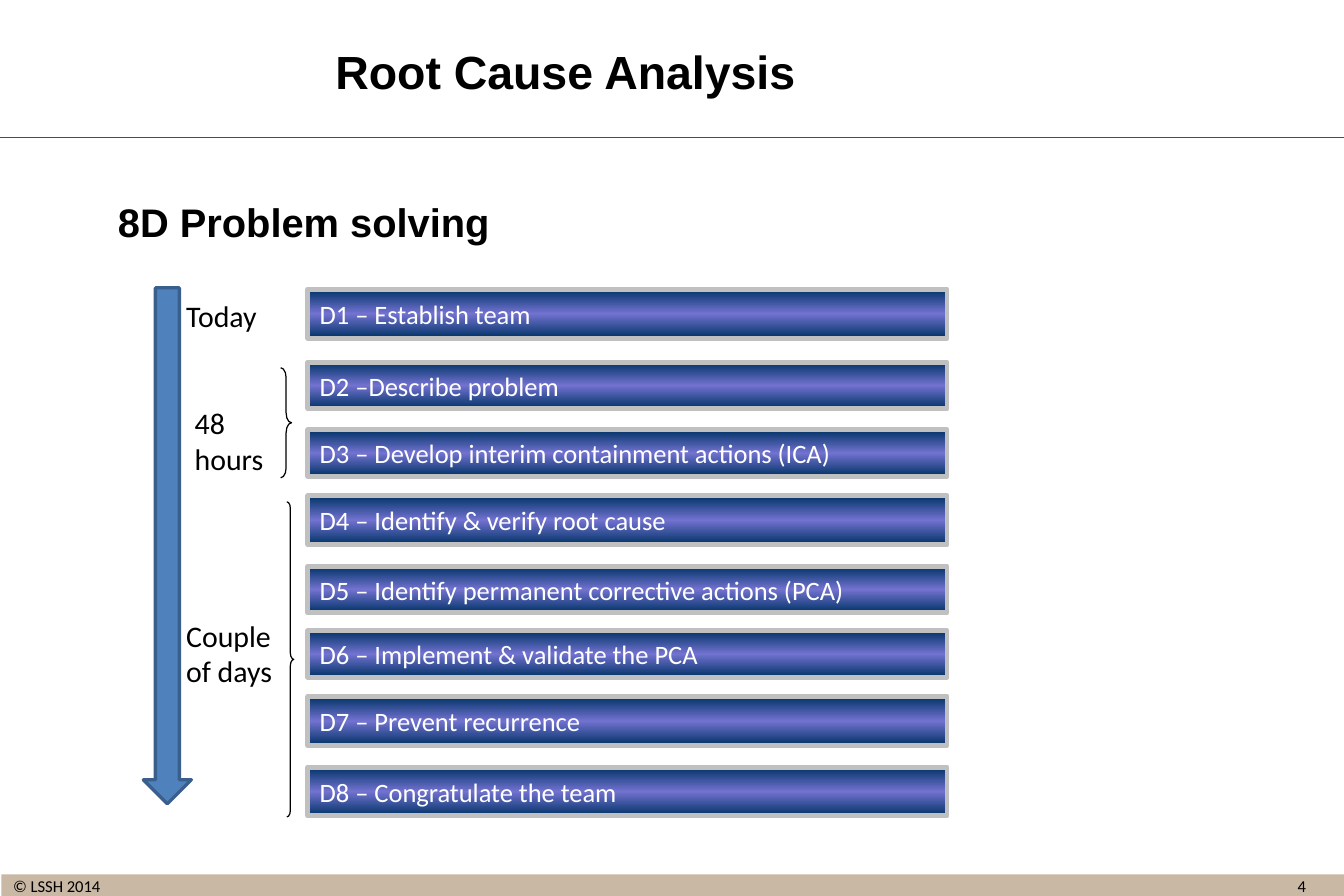
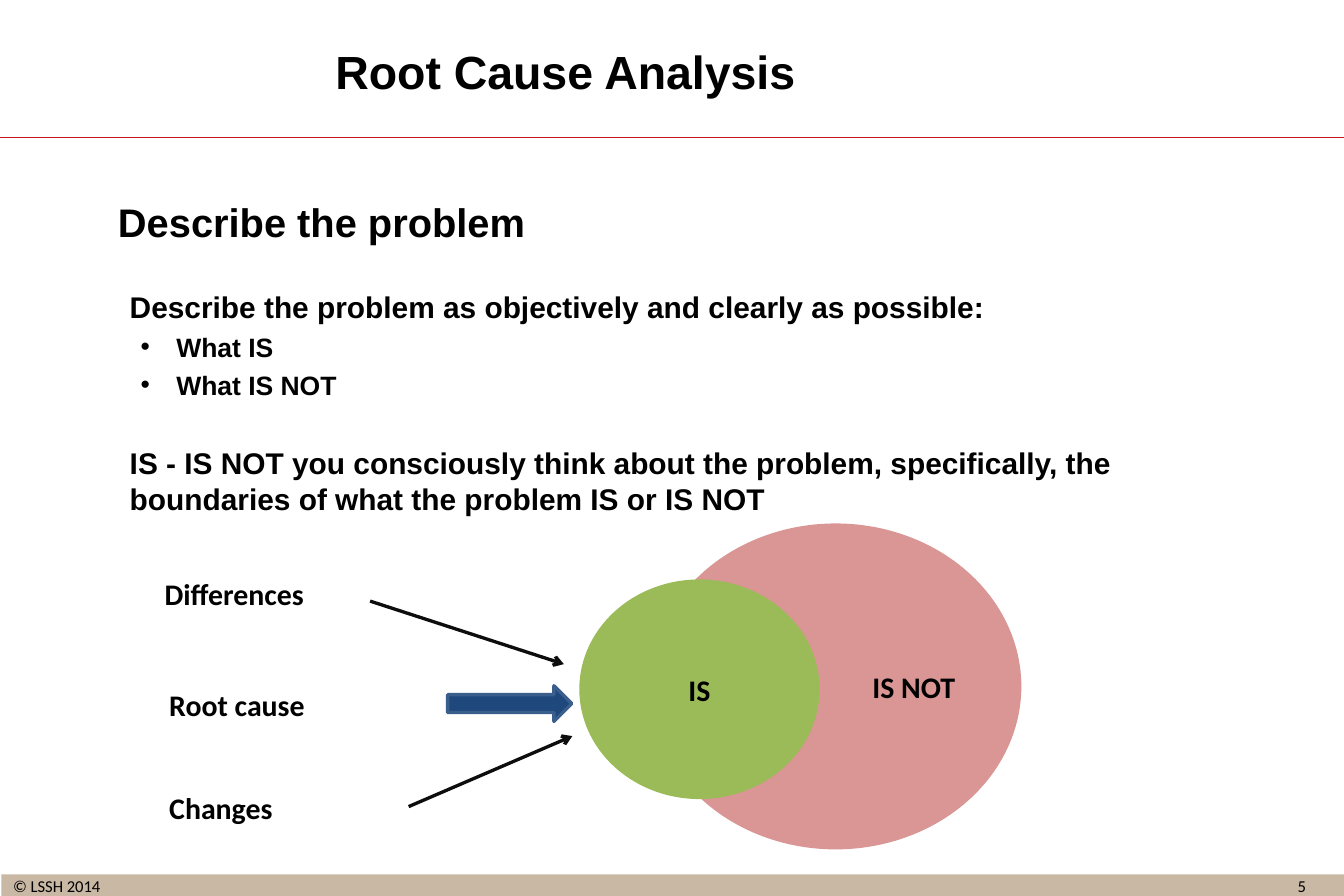
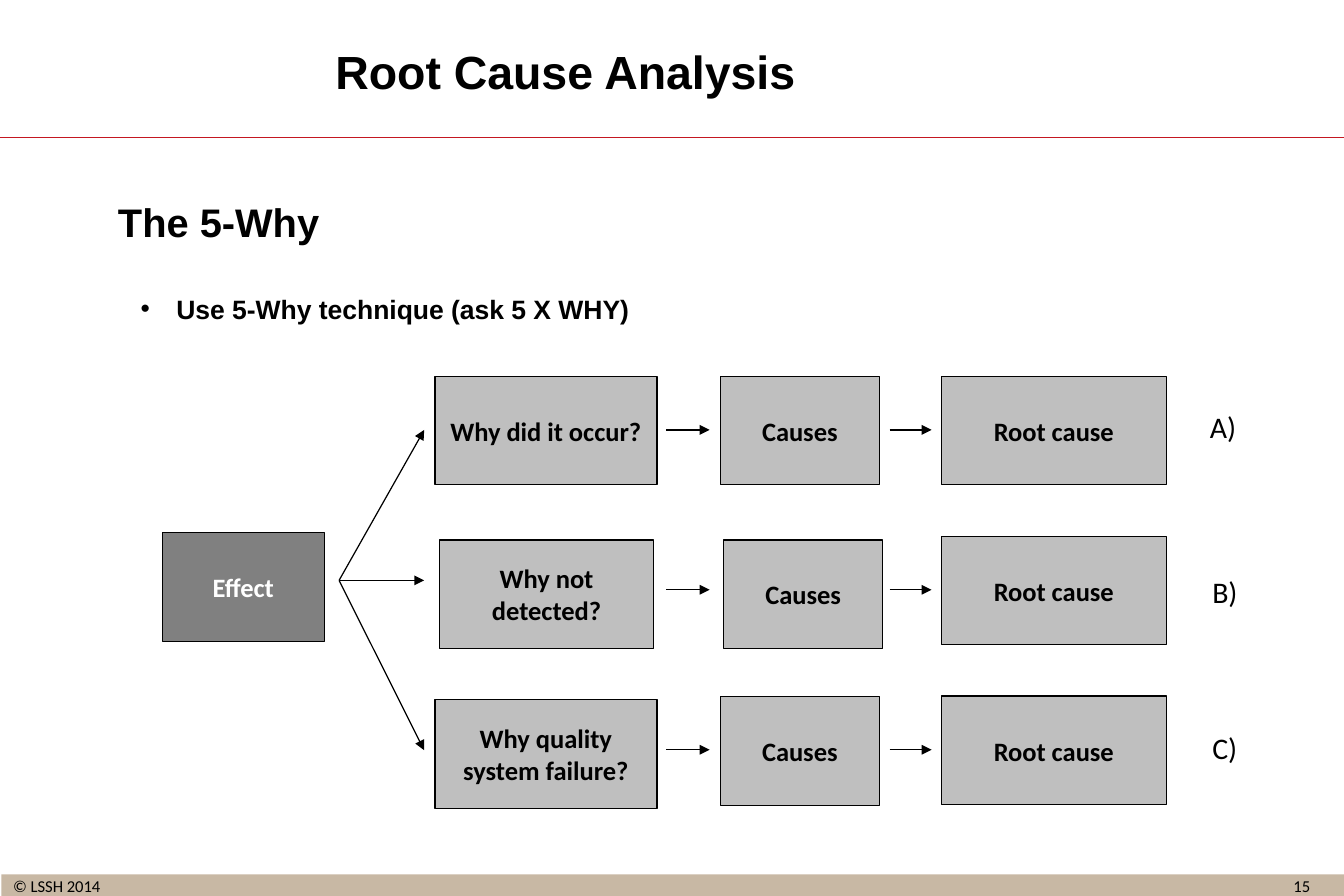
import copy
import dataclasses

import pptx
import pptx.dml.color
import pptx.enum.shapes
import pptx.enum.text
import pptx.oxml.ns
import pptx.util
from lxml import etree

Cm = pptx.util.Cm
Pt = pptx.util.Pt
SHAPE = pptx.enum.shapes.MSO_SHAPE
ALIGN = pptx.enum.text.PP_ALIGN
ANCHOR = pptx.enum.text.MSO_ANCHOR
AUTO = pptx.enum.text.MSO_AUTO_SIZE
qn = pptx.oxml.ns.qn


@dataclasses.dataclass(frozen=True)
class Theme:
    black: str = "000000"
    white: str = "FFFFFF"
    band: str = "C8B8A4"
    rule: str = "C41721"
    step_edge: str = "003366"
    step_mid: str = "7272D0"
    step_line: str = "C0C0C0"
    blue: str = "4F81BD"
    navy: str = "1F497D"
    blue_line: str = "3A5F8C"
    pink: str = "D99694"
    green: str = "9BBB59"
    ink: str = "0D0D0D"
    gray: str = "BFBFBF"
    dark_gray: str = "808080"
    head_font: str = "Arial"
    body_font: str = "Calibri"
    title: float = 28
    heading: float = 24
    text: float = 18
    small: float = 16
    footer: float = 10


def rgb(color):
    return pptx.dml.color.RGBColor.from_string(color)


class Deck:
    def __init__(self, theme):
        self.theme = theme
        self.prs = pptx.Presentation()
        self.prs.slide_width = Cm(28.58)
        self.prs.slide_height = Cm(19.05)
        self.s = None

    def slide(self, title, number):
        t = self.theme
        self.s = self.prs.slides.add_slide(self.prs.slide_layouts[5])
        self.shape(SHAPE.RECTANGLE, (0.03, 18.59, 28.55, 0.46), t.band)
        self.footer(number, (26.77, 18.62, 1.83, 0.53), ALIGN.CENTER, ANCHOR.TOP)
        self.footer("© LSSH 2014", (0.03, 18.54, 4.04, 0.51), ALIGN.LEFT, ANCHOR.BOTTOM)
        self.line((0, 2.92), (28.58, 2.92), t.rule)
        sp = self.s.shapes.title
        sp.left, sp.top, sp.width, sp.height = map(Cm, (1.9, 0.66, 20.24, 1.68))
        tf = sp.text_frame
        tf.text = title
        tf.auto_size = AUTO.NONE
        tf.vertical_anchor = ANCHOR.MIDDLE
        self.format(tf, t.title, bold=True, align=ALIGN.CENTER, font=t.head_font)

    def format(self, tf, size, color=None, bold=False, align=ALIGN.LEFT, font=None):
        for p in tf.paragraphs:
            self.format_paragraph(p, size, color, bold, align, font)

    def format_paragraph(self, p, size, color=None, bold=False, align=ALIGN.LEFT, font=None):
        p.alignment = align
        for r in p.runs:
            r.font.name = font or self.theme.body_font
            r.font.size = Pt(size)
            r.font.bold = bold
            r.font.color.rgb = rgb(color or self.theme.black)

    def text_box(self, box):
        return self.s.shapes.add_textbox(*map(Cm, box)).text_frame

    def footer(self, text, box, align, anchor):
        tf = self.text_box(box)
        tf.word_wrap = True
        tf.margin_top = tf.margin_bottom = 0
        tf.vertical_anchor = anchor
        tf.text = text
        self.format(tf, self.theme.footer, align=align)

    def label(self, text, box, bold=False):
        tf = self.text_box(box)
        tf.word_wrap = False
        tf.auto_size = AUTO.SHAPE_TO_FIT_TEXT
        tf.text = text
        self.format(tf, self.theme.text, bold=bold)

    def body(self, heading, items=()):
        t = self.theme
        tf = self.text_box((2.26, 4.08, 24.74, 13.9 if items else 2.2))
        tf.word_wrap = True
        tf.text = heading
        self.format(tf, t.heading, bold=True, font=t.head_font)
        for text, bulleted, before in items:
            p = tf.add_paragraph()
            p.text = text
            p.space_before = Pt(before)
            pPr = p._p.get_or_add_pPr()
            pPr.set("marL", str(Cm(1.24 if bulleted else 0.25)))
            if bulleted:
                pPr.set("indent", str(Cm(-0.76)))
                etree.SubElement(pPr, qn("a:buFont"), typeface=t.head_font)
                etree.SubElement(pPr, qn("a:buChar"), char="•")
            size = t.small if bulleted else t.text
            self.format_paragraph(p, size, bold=True, font=t.head_font)

    def shape(self, kind, box, fill=None, line=None, weight=0.75):
        sp = self.s.shapes.add_shape(kind, *map(Cm, box))
        sp.shadow.inherit = False
        if fill:
            sp.fill.solid()
            sp.fill.fore_color.rgb = rgb(fill)
        else:
            sp.fill.background()
        if line:
            sp.line.color.rgb = rgb(line)
            sp.line.width = Pt(weight)
        else:
            sp.line.fill.background()
        return sp

    def fill_text(self, sp, text, size, color=None, bold=True, align=ALIGN.CENTER):
        tf = sp.text_frame
        tf.word_wrap = True
        tf.vertical_anchor = ANCHOR.MIDDLE
        tf.text = text
        self.format(tf, size, color, bold, align)

    def step(self, text, box):
        t = self.theme
        sp = self.shape(SHAPE.RECTANGLE, box, line=t.step_line, weight=3)
        sp.fill.gradient()
        sp.fill.gradient_angle = 90
        first = sp._element.spPr.find(".//" + qn("a:gs"))
        first.addnext(copy.deepcopy(first))
        colors = (t.step_edge, t.step_mid, t.step_edge)
        for stop, color, position in zip(sp.fill.gradient_stops, colors, (0, 0.5, 1)):
            stop.color.rgb = rgb(color)
            stop.position = position
        self.fill_text(sp, text, t.small, t.white, bold=False, align=ALIGN.LEFT)

    def brace(self, box):
        sp = self.shape(SHAPE.RIGHT_BRACE, box, line=self.theme.black)
        sp.adjustments[0] = 0.92
        sp.adjustments[1] = 0.5

    def circle(self, text, box, fill, align):
        sp = self.shape(SHAPE.OVAL, box, fill)
        self.fill_text(sp, text, self.theme.text, align=align)

    def process(self, text, box, fill=None, color=None):
        t = self.theme
        sp = self.shape(SHAPE.FLOWCHART_PROCESS, box, fill or t.gray, t.black)
        self.fill_text(sp, text, t.small, color)

    def line(self, start, end, color=None, weight=0.75, head=None):
        c = self.s.shapes.add_connector(
            pptx.enum.shapes.MSO_CONNECTOR.STRAIGHT, *map(Cm, (*start, *end)))
        c.line.color.rgb = rgb(color or self.theme.black)
        c.line.width = Pt(weight)
        if head:
            etree.SubElement(c.line._get_or_add_ln(), qn("a:tailEnd"), type=head)
        etree.SubElement(c._element.spPr, qn("a:effectLst"))


def eight_steps(deck):
    t = deck.theme
    deck.slide("Root Cause Analysis", "4")
    deck.body("8D Problem solving")
    deck.label("Today", (3.71, 6.2, 2.03, 1.02))
    deck.label("48\nhours", (3.89, 8.48, 1.98, 1.8))
    deck.label("Couple\nof days", (3.71, 13.0, 2.36, 1.8))
    deck.brace((5.97, 7.82, 0.23, 2.34))
    deck.brace((6.1, 10.67, 0.15, 6.7))
    steps = (
        ("D1 – Establish team", 6.15, 1.04),
        ("D2 –Describe problem", 7.7, 0.99),
        ("D3 – Develop interim containment actions (ICA)", 9.14, 0.99),
        ("D4 – Identify & verify root cause", 10.54, 1.04),
        ("D5 – Identify permanent corrective actions (PCA)", 12.04, 0.99),
        ("D6 – Implement & validate the PCA", 13.41, 0.99),
        ("D7 – Prevent recurrence", 14.81, 1.04),
        ("D8 – Congratulate the team", 16.31, 1.04),
    )
    for text, top, height in steps:
        deck.step(text, (6.55, top, 13.59, height))
    deck.shape(SHAPE.DOWN_ARROW, (3.05, 6.12, 1.02, 10.97), t.blue, t.blue_line, 2)


def describe_problem(deck):
    t = deck.theme
    deck.slide("Root Cause Analysis", "5")
    deck.body("Describe the problem", (
        ("Describe the problem as objectively and clearly as possible:", False, 26),
        ("What IS", True, 3.7),
        ("What IS NOT", True, 3.7),
        ("IS - IS NOT you consciously think about the problem, specifically, "
         "the boundaries of what the problem IS or IS NOT", False, 26.5),
    ))
    deck.circle("IS NOT", (13.82, 11.13, 7.9, 6.93), t.pink, ALIGN.RIGHT)
    deck.circle("IS", (12.32, 12.32, 5.11, 4.67), t.green, ALIGN.CENTER)
    deck.line((7.87, 12.78), (11.99, 14.12), t.ink, 2, "arrow")
    deck.line((8.69, 17.15), (12.17, 15.65), t.ink, 2, "arrow")
    deck.shape(SHAPE.RIGHT_ARROW, (9.52, 14.58, 2.64, 0.76), t.navy, t.blue_line, 2)
    deck.label("Differences", (3.25, 12.12, 3.51, 1.02), bold=True)
    deck.label("Root cause", (3.35, 14.48, 3.4, 1.02), bold=True)
    deck.label("Changes", (3.35, 16.66, 2.72, 1.02), bold=True)


def five_whys(deck):
    t = deck.theme
    deck.slide("Root Cause Analysis", "15")
    deck.body("The 5-Why", (("Use 5-Why technique (ask 5 X WHY)", True, 28.5),))
    height = 2.31
    deck.process("Effect", (3.45, 11.33, 3.45, height), t.dark_gray, t.white)
    rows = (
        ("Why did it occur?", (9.25, 8.0, 4.72), (15.32, 8.0), 9.14, ("A)", 25.48, 8.56)),
        ("Why not detected?", (9.35, 11.48, 4.55), (15.39, 11.48), 12.34, ("B)", 25.53, 12.07)),
        ("Why quality system failure?", (9.25, 14.88, 4.72), (15.32, 14.81), 15.95,
         ("C)", 25.53, 15.39)),
    )
    for i, (question, why, cause, branch_y, (letter, x, y)) in enumerate(rows):
        row_top = 8.0 + 3.4 * i
        arrow_y = row_top + 1.14
        deck.process(question, (*why, height))
        deck.process("Causes", (*cause, 3.38, height))
        deck.process("Root cause", (20.02, row_top, 4.78, height))
        deck.line((7.21, 12.34), (9.02, branch_y), head="triangle")
        for left, right in ((14.17, 15.09), (18.92, 19.81)):
            deck.line((left, arrow_y), (right, arrow_y), head="triangle")
        deck.label(letter, (x, y, 1.07, 1.02))


def main():
    deck = Deck(Theme())
    eight_steps(deck)
    describe_problem(deck)
    five_whys(deck)
    deck.prs.save("out.pptx")


if __name__ == "__main__":
    main()
